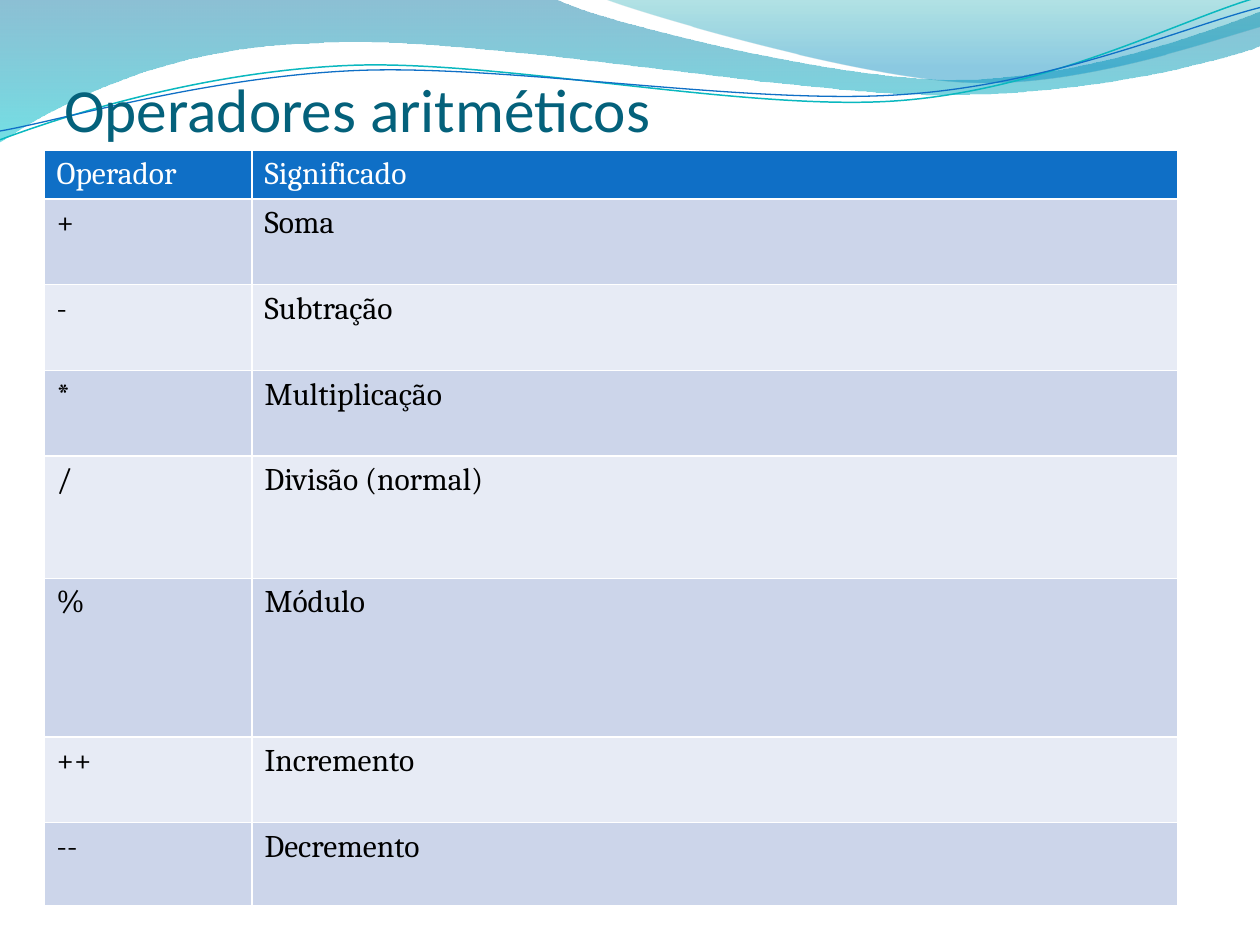
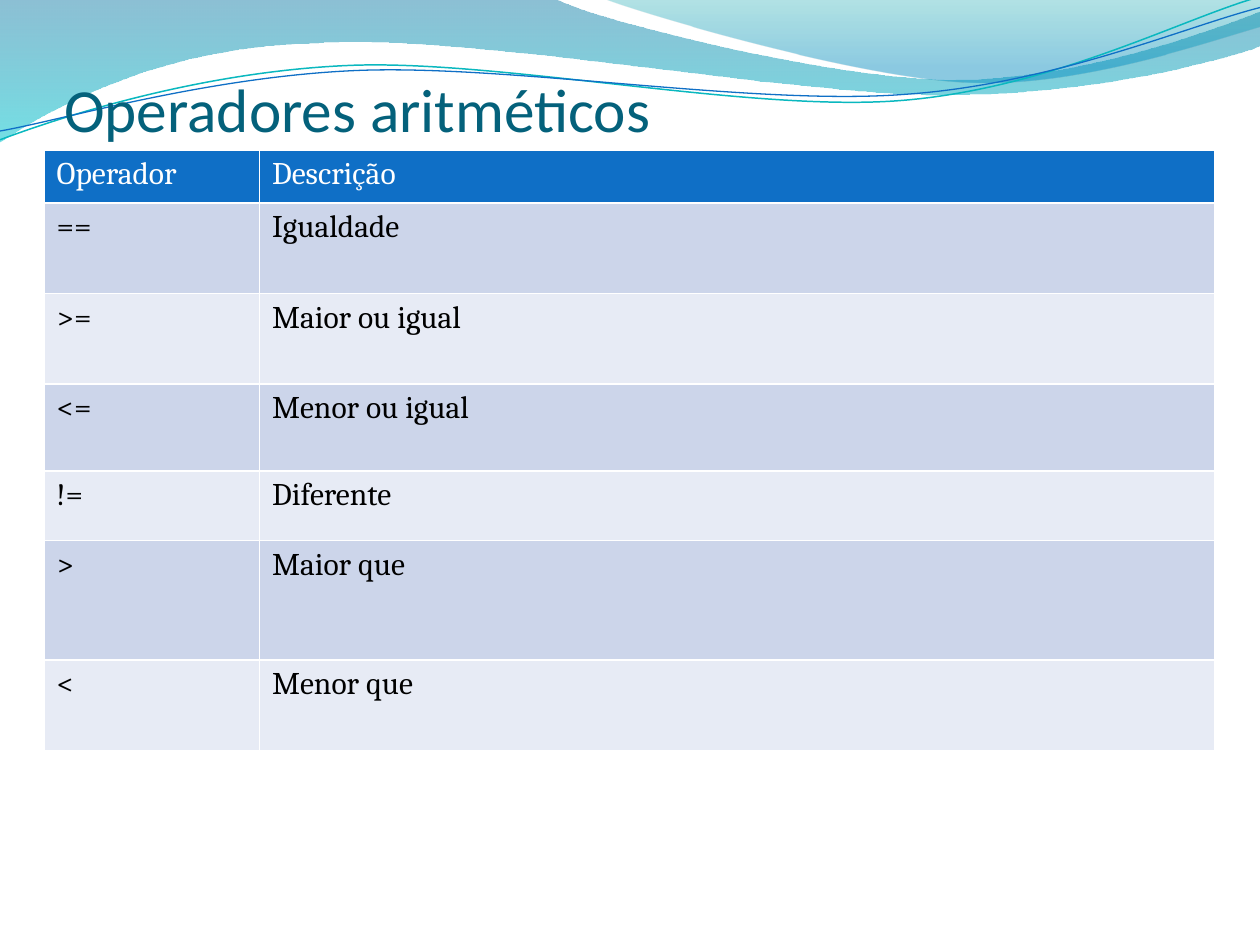
from lxml.etree import SubElement
from pptx import Presentation
from pptx.dml.color import RGBColor
from pptx.enum.text import MSO_ANCHOR, MSO_AUTO_SIZE, PP_ALIGN
from pptx.oxml.ns import qn
from pptx.util import Inches, Pt

COLORS = {
    "title": "04617B", "header": "0F6FC6", "band_dark": "CCD5EA",
    "band_light": "E7EBF5", "white": "FFFFFF", "text": "000000",
    "wave_blue": "0074A1", "wave_cyan": "00C6CF", "crest_teal": "00A1A9",
    "crest_blue": "008BBF", "line_teal": "0AB8BF", "line_blue": "0F6FC6",
}
TITLE_FONT, TABLE_FONT = "Calibri", "Cambria"
TITLE_BOX = (0.51, -0.04, 9, 1.19)
TABLE_CORNER = (0.35, 1.19)

# Outlines in inches: a pair is a straight step, six numbers a Bézier curve.
WAVE = [(0, 0), (4.4, -0.01), (4.76, 0.17, 6.64, 0.63, 7.58, 0.63),
        (8.53, 0.63, 9.58, 0.26, 10, 0.09), (10.01, 0.36),
        (9.83, 0.44, 8.7, 0.76, 7.46, 0.75), (6.22, 0.75, 3.82, 0.28, 2.57, 0.34),
        (1.29, 0.36, 0.46, 0.83, -0.01, 1.13), (0, 0)]
CREST = [(4.79, -0.01), (5.09, 0.11, 6.82, 0.62, 7.69, 0.65),
         (8.56, 0.69, 9.61, 0.32, 10, 0.21), (10, 0), (4.79, -0.01)]
TEAL_LINE = [(0, 1.11), (0.48, 0.93, 1.58, 0.57, 2.77, 0.52),
             (3.95, 0.47, 5.93, 0.89, 7.13, 0.8), (8.33, 0.71, 9.38, 0.15, 9.98, -0.02)]
BLUE_LINE = [(0, 1.04), (0.47, 0.96, 1.64, 0.61, 2.83, 0.56),
             (4.03, 0.51, 5.97, 0.84, 7.17, 0.75), (8.36, 0.67, 9.41, 0.21, 10, 0.06)]

ARITHMETIC = [
    ("Operador", "Significado", 0.39), ("+", "Soma", 0.68), ("-", "Subtração", 0.68),
    ("*", "Multiplicação", 0.68), ("/", "Divisão (normal)", 0.97),
    ("%", "Módulo", 1.26), ("++", "Incremento", 0.68), ("--", "Decremento", 0.66),
]
COMPARISON = [
    ("Operador", "Descrição", 0.42), ("==", "Igualdade", 0.72),
    (">=", "Maior ou igual", 0.72), ("<=", "Menor ou igual", 0.69),
    ("!=", "Diferente", 0.55), (">", "Maior que", 0.95), ("<", "Menor que", 0.72),
]


def color(name):
    return RGBColor.from_string(COLORS[name])


def bend_segments(shape, steps):
    """Turn the straight segments whose step has control points into Bézier curves."""
    segments = list(shape.element.iter(qn("a:lnTo")))
    for segment, step in zip(segments, steps):
        if len(step) == 2:
            continue
        curve = segment.makeelement(qn("a:cubicBezTo"))
        for x, y in zip(step[::2], step[1::2]):
            SubElement(curve, qn("a:pt"), x=str(Inches(x) - shape.left),
                       y=str(Inches(y) - shape.top))
        segment.getparent().replace(segment, curve)


def add_outline(slide, outline, close):
    start, *anchors = [tuple(map(Inches, step[-2:])) for step in outline]
    builder = slide.shapes.build_freeform(*start)
    builder.add_line_segments(anchors, close=close)
    shape = builder.convert_to_shape()
    bend_segments(shape, outline[1:])
    shape.shadow.inherit = False
    return shape


def add_gradient_wave(slide, outline, stops):
    """Draw a closed wave; each stop is position, colour name, opacity in percent."""
    shape = add_outline(slide, outline, close=True)
    shape.line.fill.background()
    shape.fill.gradient()
    shape.fill.gradient_angle = 270
    for gradient_stop, (position, name, _) in zip(shape.fill.gradient_stops, stops):
        gradient_stop.position = position
        gradient_stop.color.rgb = color(name)
    for element, stop in zip(shape.element.iter(qn("a:srgbClr")), stops):
        SubElement(element, qn("a:alpha"), val=str(stop[2] * 1000))
    return shape


def add_wave_line(slide, outline, name, width):
    shape = add_outline(slide, outline, close=False)
    shape.fill.background()
    shape.line.color.rgb = color(name)
    shape.line.width = Pt(width)
    return shape


def move_waves_to_layout(slide, layout):
    """Draw the header waves once and hand them to the shared layout."""
    waves = [
        add_gradient_wave(slide, WAVE, [(0, "wave_blue", 45), (1, "wave_cyan", 55)]),
        add_gradient_wave(slide, CREST, [(0, "crest_teal", 30), (0.8, "crest_blue", 45)]),
        add_wave_line(slide, TEAL_LINE, "line_teal", 0.85),
        add_wave_line(slide, BLUE_LINE, "line_blue", 0.75),
    ]
    for index, shape in enumerate(waves, start=2):
        layout.shapes.element.insert(index, shape.element)


def add_run(paragraph, text, font_name, size, color_name):
    run = paragraph.add_run()
    run.text = text
    run.font.name = font_name
    run.font.size = Pt(size)
    run.font.bold = False
    run.font.color.rgb = color(color_name)


def fill_title(slide, text, box):
    title = slide.shapes.title
    title.left, title.top, title.width, title.height = map(Inches, box)
    frame = title.text_frame
    frame.auto_size = MSO_AUTO_SIZE.NONE
    frame.vertical_anchor = MSO_ANCHOR.BOTTOM
    frame.margin_left = frame.margin_right = frame.margin_bottom = 0
    frame.margin_top = Inches(0.05)
    frame.paragraphs[0].alignment = PP_ALIGN.LEFT
    add_run(frame.paragraphs[0], text, TITLE_FONT, 35, "title")


def set_borders(cell):
    properties = cell._tc.get_or_add_tcPr()
    for index, tag in enumerate(("a:lnL", "a:lnR", "a:lnT", "a:lnB")):
        line = SubElement(properties, qn(tag), w=str(Pt(1)))
        fill = SubElement(line, qn("a:solidFill"))
        SubElement(fill, qn("a:srgbClr"), val=COLORS["white"])
        properties.insert(index, line)


def add_operator_table(slide, rows, column_widths, corner):
    height = sum(row[-1] for row in rows)
    box = map(Inches, (*corner, sum(column_widths), height))
    table = slide.shapes.add_table(len(rows), len(column_widths), *box).table
    for column, width in zip(table.columns, column_widths):
        column.width = Inches(width)
    for row_index, (*texts, row_height) in enumerate(rows):
        table.rows[row_index].height = Inches(row_height)
        is_header = row_index == 0
        band = "header" if is_header else ("band_light", "band_dark")[row_index % 2]
        for column_index, text in enumerate(texts):
            cell = table.cell(row_index, column_index)
            cell.fill.solid()
            cell.fill.fore_color.rgb = color(band)
            set_borders(cell)
            add_run(cell.text_frame.paragraphs[0], text, TABLE_FONT, 18,
                    "white" if is_header else "text")


def add_operator_slide(presentation, layout, rows, column_widths):
    slide = presentation.slides.add_slide(layout)
    fill_title(slide, "Operadores aritméticos", TITLE_BOX)
    add_operator_table(slide, rows, column_widths, TABLE_CORNER)
    return slide


def main():
    presentation = Presentation()
    presentation.slide_width, presentation.slide_height = Inches(10), Inches(7.5)
    layout = presentation.slide_layouts.get_by_name("Title Only")
    first_slide = add_operator_slide(presentation, layout, ARITHMETIC, (1.65, 7.35))
    move_waves_to_layout(first_slide, layout)
    add_operator_slide(presentation, layout, COMPARISON, (1.71, 7.58))
    presentation.save("out.pptx")


if __name__ == "__main__":
    main()
